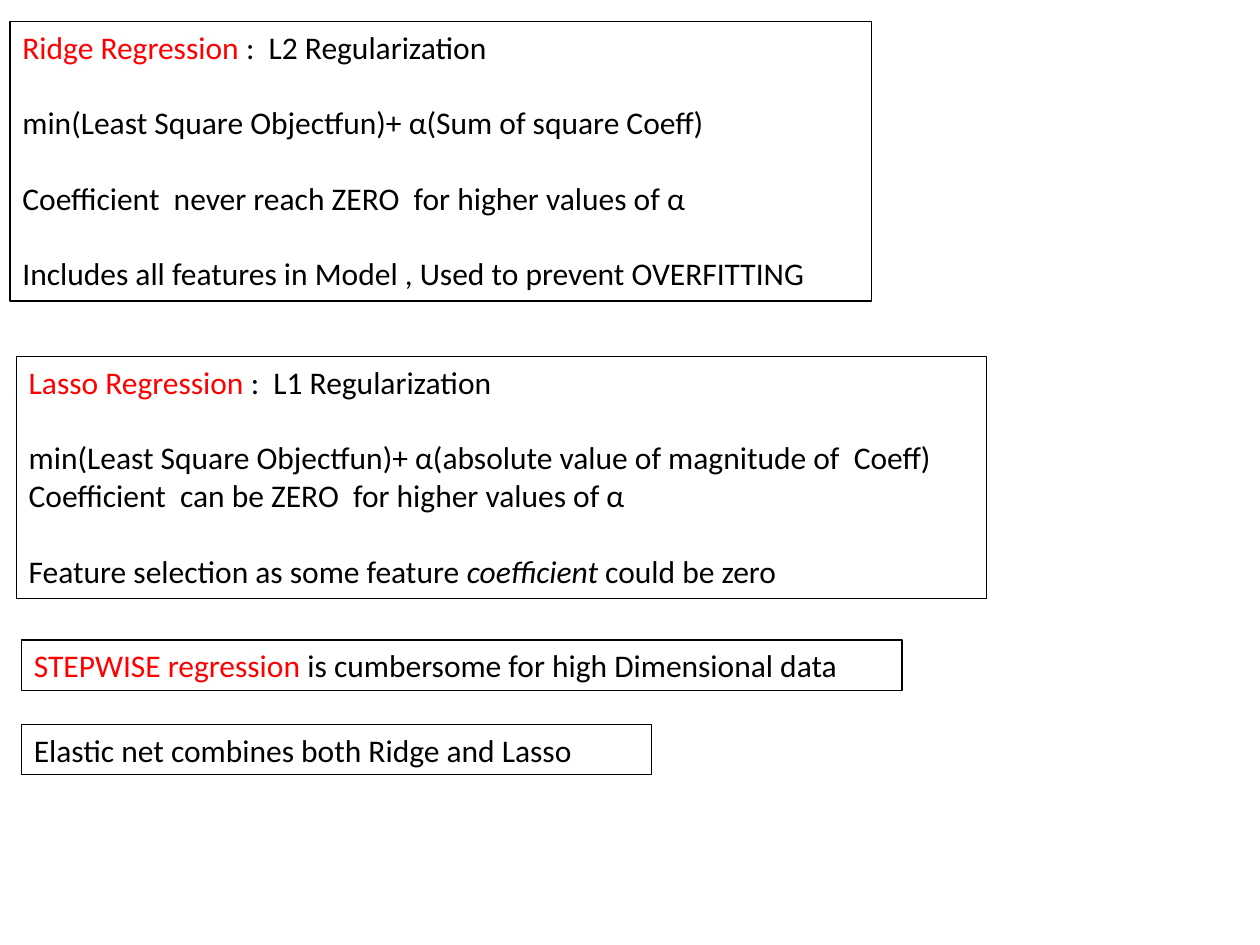
from pptx import Presentation
from pptx.dml.color import RGBColor
from pptx.enum.text import MSO_ANCHOR, MSO_AUTO_SIZE
from pptx.util import Inches, Pt

FIT_SHAPE = MSO_AUTO_SIZE.SHAPE_TO_FIT_TEXT
TOP = MSO_ANCHOR.TOP

THEME = {
    "font": "Calibri",
    "size": Pt(18),
    "text": RGBColor(0x00, 0x00, 0x00),
    "term": RGBColor(0xFF, 0x00, 0x00),
    "border": RGBColor(0x00, 0x00, 0x00),
    "border_width": Pt(0.75),
    "gap": Pt(21.6),
}

# Each note: position (left, top, width, height) and groups of lines.
# A blank line's height separates groups; a line is a list of (text, style).
NOTES = [
    {"at": (0.08, 0.17, 6.84, 2.22), "groups": [
        [[("Ridge Regression ", "term"), (":  L2 Regularization", "plain")]],
        [[("min(Least Square Objectfun)+ α(Sum of square Coeff)", "plain")]],
        [[("Coefficient  never reach ZERO  for higher values of α", "plain")]],
        [[("Includes all features in Model , Used to prevent OVERFITTING", "plain")]],
    ]},
    {"at": (0.13, 2.83, 7.7, 1.92), "groups": [
        [[("Lasso Regression ", "term"), (":  L1 Regularization", "plain")]],
        [[("min(Least Square Objectfun)+ α(absolute value of magnitude of  Coeff)", "plain")],
         [("Coefficient  can be ZERO  for higher values of α", "plain")]],
        [[("Feature selection as some feature ", "plain"), ("coefficient", "italic"),
          (" could be zero", "plain")]],
    ]},
    {"at": (0.17, 5.08, 6.99, 0.4), "groups": [
        [[("STEPWISE regression", "term"),
          (" is cumbersome for high Dimensional data", "plain")]],
    ]},
    {"at": (0.17, 5.75, 5, 0.4), "groups": [
        [[("Elastic net combines both Ridge and Lasso", "plain")]],
    ]},
]


def add_span(para, text, color=THEME["text"], italic=False):
    span = para.add_run()
    span.text = text
    span.font.name = THEME["font"]
    span.font.size = THEME["size"]
    span.font.color.rgb = color
    span.font.italic = italic


def add_note(page, at, groups):
    box = page.shapes.add_textbox(*map(Inches, at))
    box.line.color.rgb = THEME["border"]
    box.line.width = THEME["border_width"]
    frame = box.text_frame
    frame.word_wrap = True
    frame.auto_size = FIT_SHAPE
    frame.vertical_anchor = TOP
    for group_index, group in enumerate(groups):
        for line_index, line in enumerate(group):
            first = group_index == 0 and line_index == 0
            para = frame.paragraphs[0] if first else frame.add_paragraph()
            if group_index > 0 and line_index == 0:
                para.space_before = THEME["gap"]
            for text, style in line:
                add_span(para, text, italic=style == "italic",
                         color=THEME["term" if style == "term" else "text"])


def main():
    deck = Presentation()
    deck.slide_width, deck.slide_height = Inches(10), Inches(7.5)
    page = deck.slides.add_slide(deck.slide_layouts[6])
    for note in NOTES:
        add_note(page, **note)
    deck.save("out.pptx")


if __name__ == "__main__":
    main()
